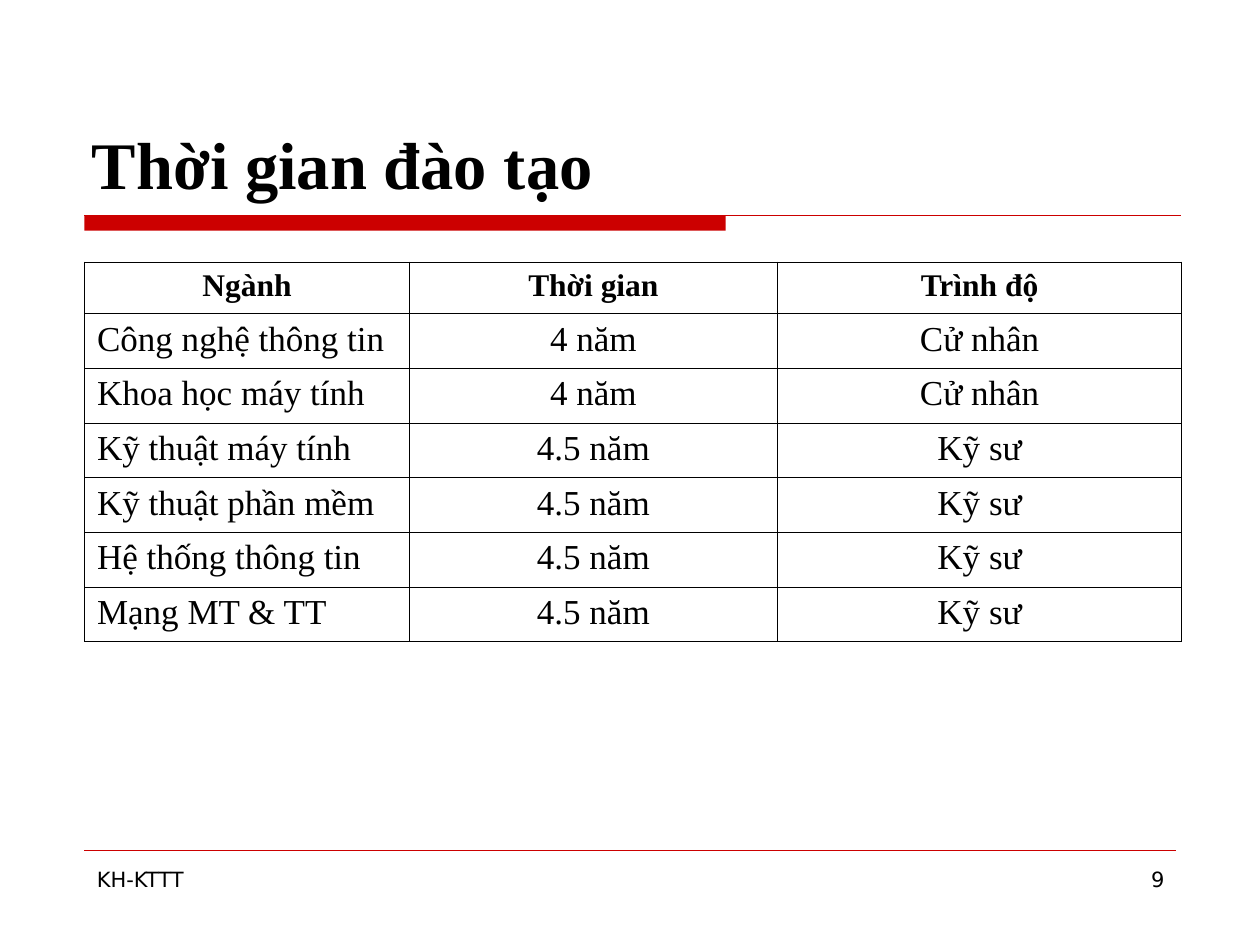
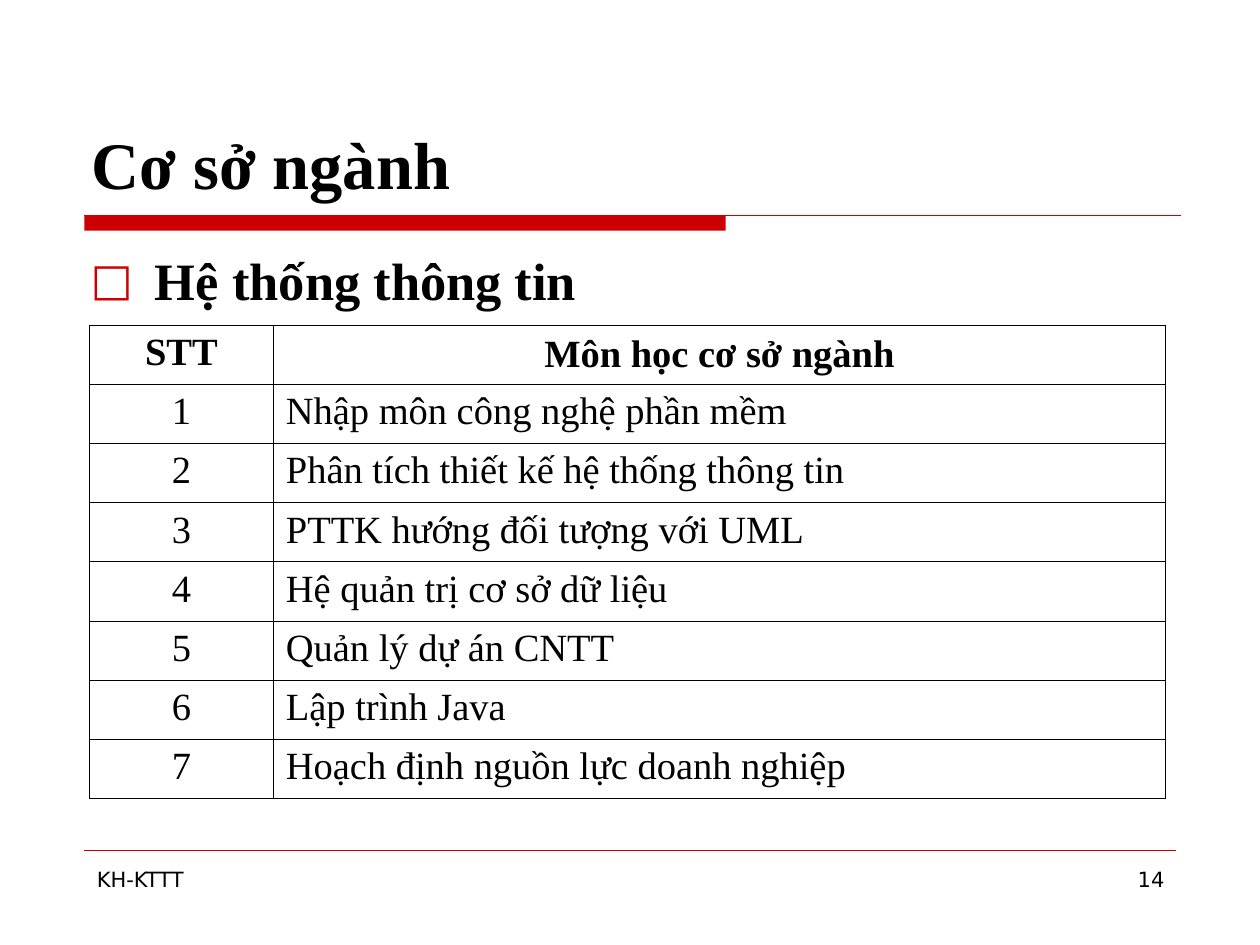
from dataclasses import dataclass

from lxml.etree import SubElement
from pptx import Presentation
from pptx.dml.color import RGBColor
from pptx.enum.shapes import MSO_CONNECTOR as Connector, MSO_SHAPE as Shape
from pptx.enum.text import MSO_ANCHOR as Anchor, MSO_AUTO_SIZE as AutoSize, PP_ALIGN as Align
from pptx.oxml.ns import qn
from pptx.util import Inches, Pt

RED, BLACK, WHITE = "CC0000", "000000", "FFFFFF"
SERIF, SANS = "Times New Roman", "DejaVu Sans"
FOOTER = "KH-KTTT"
LEFT = 0.67
RULE_TOP = 1.71
TITLE_ONLY, TITLE_AND_BODY = 5, 1


@dataclass
class TableSpec:
    left: float
    top: float
    columns: list[float]
    alignments: list[Align]
    header_height: float
    row_height: float
    header_size: int
    body_size: int
    rows: list[tuple[str, ...]]
    header_anchors: list[Anchor]


@dataclass
class PageSpec:
    number: int
    title: str
    table: TableSpec
    bullet: str = ""


def color(value: str) -> RGBColor:
    return RGBColor.from_string(value)


def style(para, size: float, font: str = SERIF, bold: bool = False, align: Align = Align.LEFT) -> None:
    para.alignment = align
    para.font.size, para.font.name, para.font.bold = Pt(size), font, bold
    para.font.color.rgb = color(BLACK)


def place(shape, left: float, top: float, width: float, height: float) -> None:
    shape.left, shape.top = Inches(left), Inches(top)
    shape.width, shape.height = Inches(width), Inches(height)


def draw_line(page, top: float, right: float, weight: float) -> None:
    line = page.shapes.add_connector(
        Connector.STRAIGHT, Inches(LEFT), Inches(top), Inches(right), Inches(top))
    line.line.color.rgb = color(RED)
    line.line.width = Pt(weight)
    SubElement(line._element.spPr, qn("a:effectLst"))


def draw_footer(page, text: str, left: float, align: Align) -> None:
    box = page.shapes.add_textbox(Inches(left), Inches(6.83), Inches(2.17), Inches(0.52))
    box.text_frame.word_wrap = True
    box.text_frame.text = text
    style(box.text_frame.paragraphs[0], 12, SANS, align=align)


def draw_frame(page, spec: PageSpec) -> None:
    # Red bar with its thin rule, and the footer rule
    bar = page.shapes.add_shape(
        Shape.RECTANGLE, Inches(LEFT), Inches(RULE_TOP), Inches(5.09), Inches(0.12))
    bar.shadow.inherit = False
    bar.fill.solid()
    bar.fill.fore_color.rgb = color(RED)
    bar.line.fill.background()
    draw_line(page, RULE_TOP, 9.37, 0.75)
    draw_line(page, 6.75, 9.33, 0.25)

    # Title
    title = page.shapes.title
    place(title, 0.63, 0.33, 8.75, 1.33)
    title.text_frame.text = spec.title
    title.text_frame.auto_size = AutoSize.NONE
    title.text_frame.vertical_anchor = Anchor.BOTTOM
    style(title.text_frame.paragraphs[0], 38, bold=True)

    # Footer texts
    draw_footer(page, FOOTER, LEFT, Align.LEFT)
    draw_footer(page, str(spec.number), 7.17, Align.RIGHT)


def draw_bullet(page, text: str) -> None:
    body = page.placeholders[1]
    place(body, 0.62, 1.92, 8.75, 4.67)
    body.text_frame.text = text
    body.text_frame.auto_size = AutoSize.NONE
    para = body.text_frame.paragraphs[0]
    props = para._p.get_or_add_pPr()
    props.set("marL", str(Inches(0.51)))
    props.set("indent", str(-Inches(0.51)))
    SubElement(SubElement(props, qn("a:buClr")), qn("a:srgbClr"), val=RED)
    SubElement(props, qn("a:buSzPct"), val="85000")
    SubElement(props, qn("a:buFont"), typeface=SANS)
    SubElement(props, qn("a:buChar"), char="□")
    para.space_before = Pt(0)
    style(para, 30, bold=True)


def format_cell(cell) -> None:
    props = cell._tc.get_or_add_tcPr()
    for side in ("lnL", "lnR", "lnT", "lnB"):
        border = SubElement(props, qn(f"a:{side}"), w=str(Pt(0.45)))
        SubElement(SubElement(border, qn("a:solidFill")), qn("a:srgbClr"), val=BLACK)
    cell.fill.solid()
    cell.fill.fore_color.rgb = color(WHITE)


def draw_table(page, spec: TableSpec) -> None:
    heights = [spec.header_height] + [spec.row_height] * (len(spec.rows) - 1)
    table = page.shapes.add_table(
        len(heights), len(spec.columns), Inches(spec.left), Inches(spec.top),
        Inches(sum(spec.columns)), Inches(sum(heights))).table
    table.first_row = table.horz_banding = False
    for column, width in zip(table.columns, spec.columns):
        column.width = Inches(width)
    for index, (row, height) in enumerate(zip(table.rows, heights)):
        row.height = Inches(height)
        header = index == 0
        size = spec.header_size if header else spec.body_size
        for cell, text, align in zip(row.cells, spec.rows[index], spec.alignments):
            format_cell(cell)
            cell.text = text
            style(cell.text_frame.paragraphs[0], size, bold=header,
                  align=Align.CENTER if header else align)
    for cell, anchor in zip(table.rows[0].cells, spec.header_anchors):
        cell.vertical_anchor = anchor


SUBJECTS = [
    "Nhập môn công nghệ phần mềm",
    "Phân tích thiết kế hệ thống thông tin",
    "PTTK hướng đối tượng với UML",
    "Hệ quản trị cơ sở dữ liệu",
    "Quản lý dự án CNTT",
    "Lập trình Java",
    "Hoạch định nguồn lực doanh nghiệp",
]
BACHELOR = ("4 năm", "Cử nhân")
ENGINEER = ("4.5 năm", "Kỹ sư")

PAGES = [
    PageSpec(9, "Thời gian đào tạo", TableSpec(
        left=LEFT, top=2.08, columns=[2.58, 2.92, 3.21],
        alignments=[Align.JUSTIFY, Align.CENTER, Align.CENTER],
        header_height=0.41, row_height=0.43, header_size=18, body_size=20,
        header_anchors=[Anchor.TOP] * 3,
        rows=[
            ("Ngành", "Thời gian", "Trình độ"),
            ("Công nghệ thông tin", *BACHELOR),
            ("Khoa học máy tính", *BACHELOR),
            ("Kỹ thuật máy tính", *ENGINEER),
            ("Kỹ thuật phần mềm", *ENGINEER),
            ("Hệ thống thông tin", *ENGINEER),
            ("Mạng MT & TT", *ENGINEER),
        ])),
    PageSpec(14, "Cơ sở ngành", TableSpec(
        left=0.71, top=2.58, columns=[1.46, 7.08],
        alignments=[Align.CENTER, Align.LEFT],
        header_height=0.47, row_height=0.47, header_size=22, body_size=22,
        header_anchors=[Anchor.TOP, Anchor.MIDDLE],
        rows=[("STT", "Môn học cơ sở ngành")]
        + [(str(number), subject) for number, subject in enumerate(SUBJECTS, 1)]),
        bullet="Hệ thống thông tin"),
]


def main() -> None:
    deck = Presentation()
    deck.slide_width, deck.slide_height = Inches(10), Inches(7.5)
    for spec in PAGES:
        layout = TITLE_AND_BODY if spec.bullet else TITLE_ONLY
        page = deck.slides.add_slide(deck.slide_layouts[layout])
        draw_frame(page, spec)
        if spec.bullet:
            draw_bullet(page, spec.bullet)
        draw_table(page, spec.table)
    deck.save("out.pptx")


if __name__ == "__main__":
    main()
